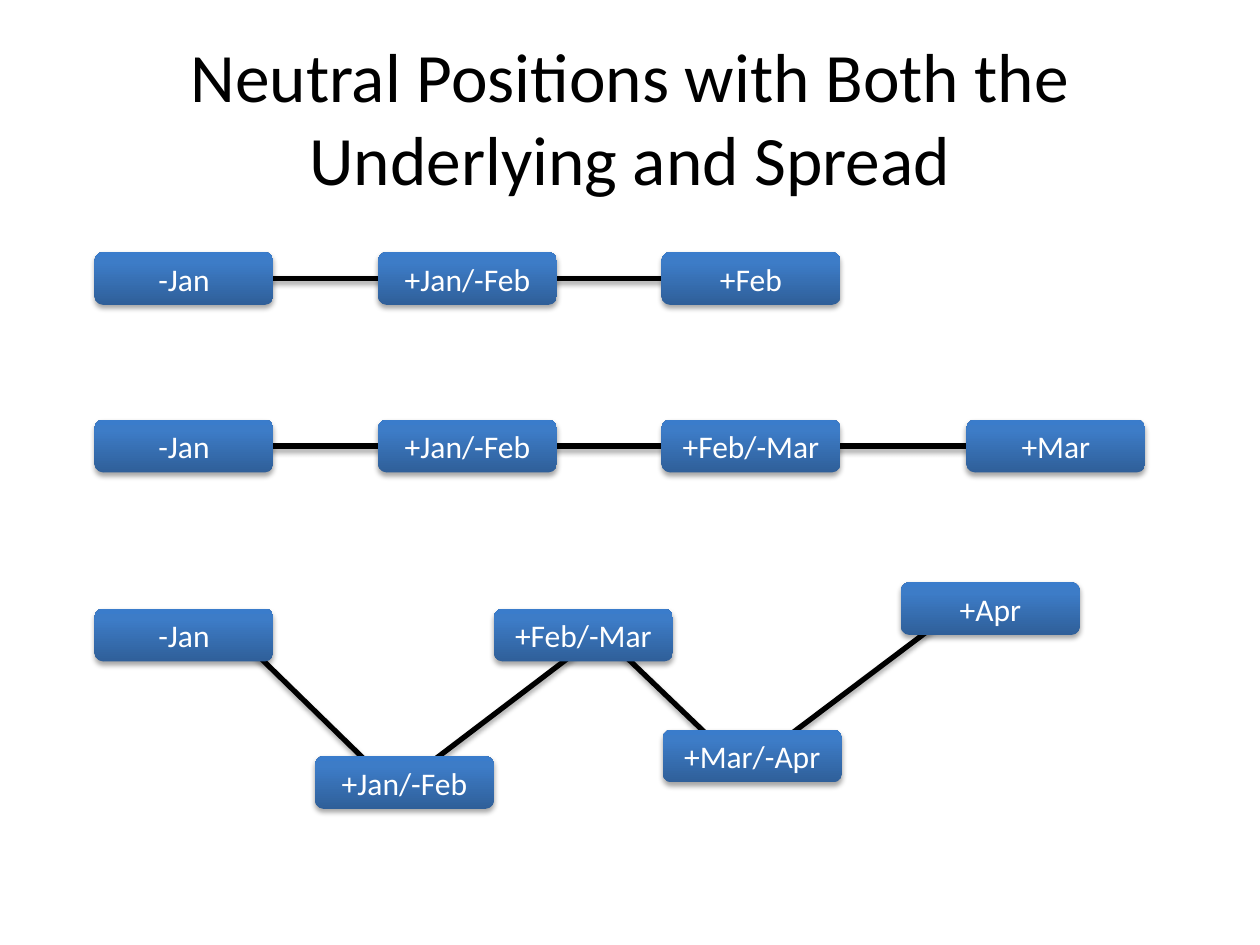
"""Build the slide on neutral positions in the underlying and spread."""
from copy import deepcopy

from lxml import etree
from pptx import Presentation
from pptx import util as u
from pptx.dml.color import RGBColor
from pptx.enum import shapes, text
from pptx.oxml.ns import qn

LEG_W, LEG_H = 1.42, 0.42


def color(hex_code):
    """Turn a hex string into a colour."""
    return RGBColor.from_string(hex_code)


def add_shadow(shape):
    """Give a shape a soft shadow that falls straight down."""
    effects = etree.SubElement(shape._element.spPr, qn("a:effectLst"))
    shadow = etree.SubElement(
        effects, qn("a:outerShdw"), blurRad=str(u.Pt(3.1)),
        dist=str(u.Pt(1.8)), dir="5400000", rotWithShape="0")
    black = etree.SubElement(shadow, qn("a:srgbClr"), val="000000")
    etree.SubElement(black, qn("a:alpha"), val="35000")


class PositionSlide:
    """Hold the style and the current slide."""

    font = "Calibri"
    ink = "000000"
    leg_ink = "FFFFFF"
    gradient = [(0, "2F5F99"), (0.8, "3D7CC7"), (1, "3A7CCB")]

    def __init__(self, deck):
        """Add a title-only slide to the deck."""
        self.slide = deck.slides.add_slide(deck.slide_layouts[5])

    def label(self, frame, words, size, ink):
        """Put one centred paragraph in a text frame."""
        frame.text = words
        frame.word_wrap = True
        frame.vertical_anchor = text.MSO_ANCHOR.MIDDLE
        paragraph = frame.paragraphs[0]
        paragraph.alignment = text.PP_ALIGN.CENTER
        paragraph.font.name = self.font
        paragraph.font.size = u.Pt(size)
        paragraph.font.color.rgb = color(ink)

    def title(self, words):
        """Fill and place the title."""
        heading = self.slide.shapes.title
        heading.left, heading.top = u.Inches(0.5), u.Inches(0.3)
        heading.width, heading.height = u.Inches(9), u.Inches(1.25)
        self.label(heading.text_frame, words, 39.6, self.ink)

    def link(self, x1, y1, x2, y2):
        """Draw a thick line between two points."""
        line = self.slide.shapes.add_connector(
            shapes.MSO_CONNECTOR.STRAIGHT,
            *(u.Inches(value) for value in (x1, y1, x2, y2)))
        line.line.color.rgb = color(self.ink)
        line.line.width = u.Pt(3)
        add_shadow(line)

    def leg(self, words, left, top):
        """Draw one leg of a position as a rounded box."""
        box = self.slide.shapes.add_shape(
            shapes.MSO_SHAPE.ROUNDED_RECTANGLE, u.Inches(left),
            u.Inches(top), u.Inches(LEG_W), u.Inches(LEG_H))
        box.fill.gradient()
        box.fill.gradient_angle = 90
        stop_list = box._element.spPr.find(".//" + qn("a:gsLst"))
        stop_list.append(deepcopy(stop_list[-1]))
        for stop, (position, hex_code) in zip(box.fill.gradient_stops,
                                              self.gradient):
            stop.position = position
            stop.color.rgb = color(hex_code)
        box.line.fill.background()
        add_shadow(box)
        self.label(box.text_frame, words, 18, self.leg_ink)


LINKS = [
    (1.92, 2.21, 5.58, 2.21),
    (1.88, 3.54, 8.08, 3.54),
    (1.88, 5.04, 3.08, 6.21),
    (3.21, 6.21, 4.75, 5.04),
    (4.62, 4.88, 5.83, 6.04),
    (6.02, 6.02, 7.56, 4.86),
]
POSITIONS = [
    [("-Jan", 0.75, 2), ("+Jan/-Feb", 3, 2), ("+Feb", 5.25, 2)],
    [("-Jan", 0.75, 3.33), ("+Jan/-Feb", 3, 3.33),
     ("+Feb/-Mar", 5.25, 3.33), ("+Mar", 7.67, 3.33)],
    [("-Jan", 0.75, 4.83), ("+Jan/-Feb", 2.5, 6),
     ("+Feb/-Mar", 3.92, 4.83), ("+Mar/-Apr", 5.26, 5.79),
     ("+Apr", 7.15, 4.62)],
]

deck = Presentation()
deck.slide_width, deck.slide_height = u.Inches(10), u.Inches(7.5)
page = PositionSlide(deck)
page.title("Neutral Positions with Both the Underlying and Spread")
for ends in LINKS:
    page.link(*ends)
for position in POSITIONS:
    for leg in position:
        page.leg(*leg)
deck.save("out.pptx")
